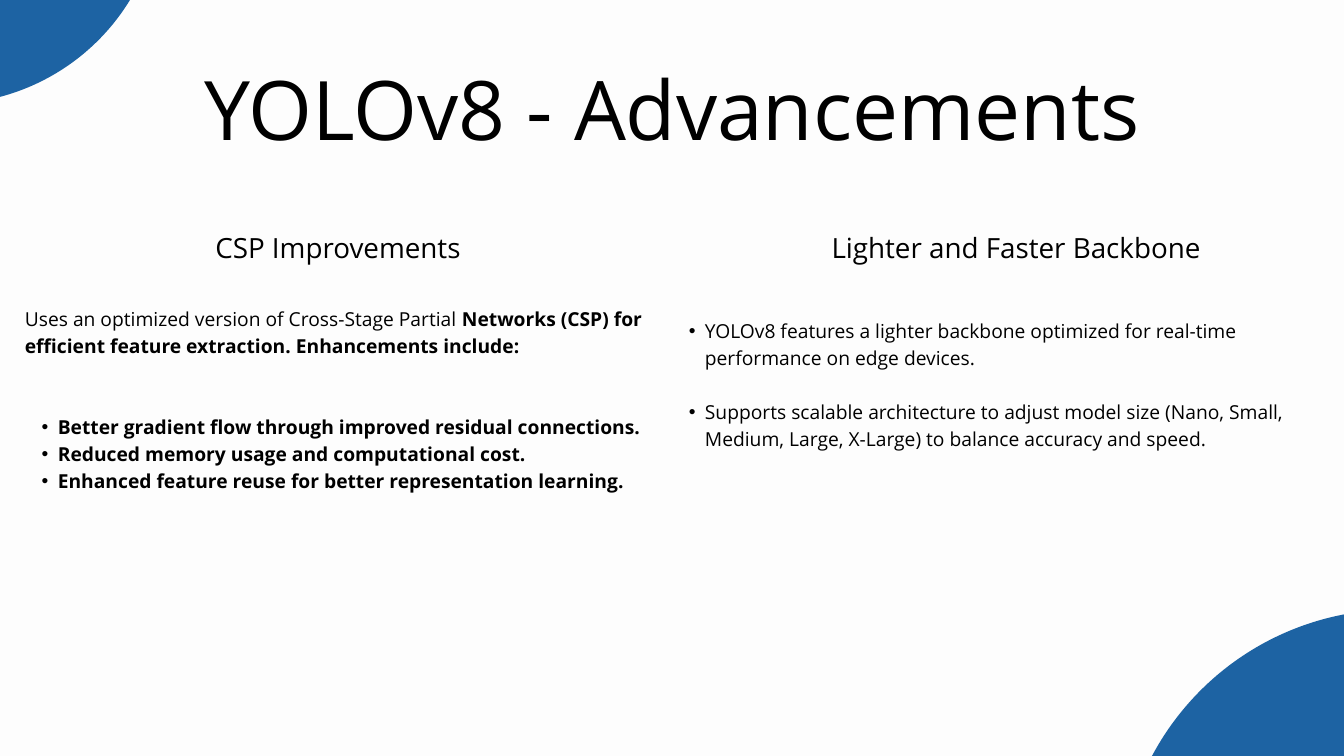
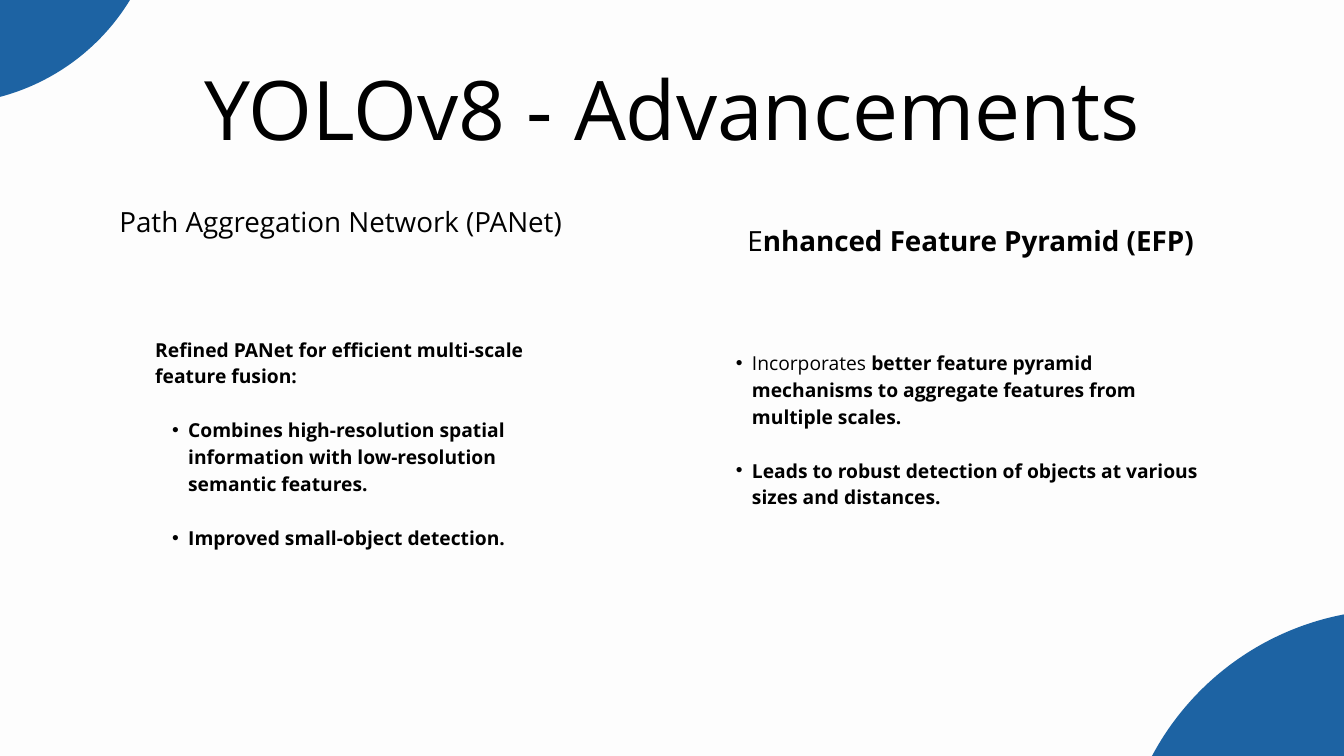
"""Build two slides on the advances in YOLOv8."""
from dataclasses import dataclass

from lxml import etree
from pptx import Presentation
from pptx import util as u
from pptx.dml.color import RGBColor
from pptx.enum import shapes, text
from pptx.oxml.ns import qn


@dataclass(frozen=True)
class Theme:
    """Colours, type sizes and spacing of the deck."""
    paper: str = "FDFDFD"
    ink: str = "000000"
    blue: str = "145DA0"
    alpha: int = 96
    font: str = "Open Sans"
    title: float = 88
    head: float = 29.8
    body: float = 20.6
    lead: float = 1.4
    left: float = 0.49
    hang: float = -0.24


@dataclass(frozen=True)
class Para:
    """A paragraph of plain and bold text, after some empty lines."""
    plain: str = ""
    bold: str = ""
    dot: bool = False
    gap: int = 0


class Deck:
    """Draw styled elements on a grid of 100 columns by 100 rows."""

    def __init__(self, theme):
        """Open a wide deck."""
        self.theme = theme
        self.prs = Presentation()
        self.prs.slide_width = u.Inches(20)
        self.prs.slide_height = u.Inches(11.25)
        self.slide = None

    def col(self, n):
        """Turn columns into a length."""
        return int(self.prs.slide_width * n / 100)

    def row(self, n):
        """Turn rows into a length."""
        return int(self.prs.slide_height * n / 100)

    def page(self, title):
        """Add a slide with corner discs and a title."""
        self.slide = self.prs.slides.add_slide(self.prs.slide_layouts[6])
        fill = self.slide.background.fill
        fill.solid()
        fill.fore_color.rgb = RGBColor.from_string(self.theme.paper)
        self.disc(83.3, 80.62, 41.15)
        self.disc(-20.35, -43.82, 32.4)
        self.box((11.55, 5.6, 76.9, 14.67), [Para(title)], self.theme.title, True)

    def disc(self, x, y, size):
        """Add a translucent blue disc."""
        side = self.col(size)
        disc = self.slide.shapes.add_shape(
            shapes.MSO_SHAPE.OVAL, self.col(x), self.row(y), side, side)
        disc.shadow.inherit = False
        disc.line.fill.background()
        disc.fill.solid()
        disc.fill.fore_color.rgb = RGBColor.from_string(self.theme.blue)
        tint = disc.fill._xPr.find(".//" + qn("a:srgbClr"))
        etree.SubElement(tint, qn("a:alpha"), val=str(self.theme.alpha * 1000))

    def head(self, area, plain, bold=""):
        """Add a centred column heading."""
        self.box(area, [Para(plain, bold)], self.theme.head, True)

    def body(self, area, *paras):
        """Add body text."""
        self.box(area, paras, self.theme.body)

    def box(self, area, paras, size, mid=False):
        """Add a text box without margins."""
        x, y, w, h = area
        frame = self.slide.shapes.add_textbox(
            self.col(x), self.row(y), self.col(w), self.row(h)).text_frame
        frame.margin_left = frame.margin_right = 0
        frame.margin_top = frame.margin_bottom = 0
        frame.word_wrap = True
        frame.auto_size = text.MSO_AUTO_SIZE.SHAPE_TO_FIT_TEXT
        for i, para in enumerate(paras):
            line = frame.add_paragraph() if i else frame.paragraphs[0]
            self.fill(line, para, size, mid)

    def fill(self, line, para, size, mid):
        """Style a paragraph and add its runs."""
        if para.dot:
            self.bullet(line)
        line.alignment = text.PP_ALIGN.CENTER if mid else text.PP_ALIGN.LEFT
        pitch = u.Pt(round(size * self.theme.lead, 1))
        line.line_spacing = pitch
        if para.gap:
            line.space_before = u.Pt(pitch.pt * para.gap)
        for words, bold in ((para.plain, False), (para.bold, True)):
            if words:
                self.run(line, words, size, bold)

    def bullet(self, line):
        """Give a paragraph a hanging bullet."""
        line.level = 1
        props = line._p.get_or_add_pPr()
        props.set("marL", str(u.Inches(self.theme.left)))
        props.set("indent", str(u.Inches(self.theme.hang)))
        etree.SubElement(props, qn("a:buFont"), typeface="Arial")
        etree.SubElement(props, qn("a:buChar"), char="•")

    def run(self, line, words, size, bold):
        """Add one run of text."""
        run = line.add_run()
        run.text = words
        run.font.name = self.theme.font
        run.font.size = u.Pt(size)
        run.font.bold = bold
        run.font.color.rgb = RGBColor.from_string(self.theme.ink)


def main():
    """Build both slides and save them."""
    deck = Deck(Theme())
    title = "YOLOv8 - Advancements"

    deck.page(title)
    deck.head((2.65, 29.78, 45, 4.89), "CSP Improvements")
    deck.body(
        (1.85, 40.18, 46.55, 27.91),
        Para("Uses an optimized version of Cross-Stage Partial ",
             "Networks (CSP) for efficient feature extraction. Enhancements include:"),
        Para(bold="Better gradient flow through improved residual connections.",
             dot=True, gap=2),
        Para(bold="Reduced memory usage and computational cost.", dot=True),
        Para(bold="Enhanced feature reuse for better representation learning.",
             dot=True))
    deck.head((60.35, 29.78, 30.5, 4.89), "Lighter and Faster Backbone")
    deck.body(
        (50, 41.78, 48.8, 20.89),
        Para("YOLOv8 features a lighter backbone optimized for real-time "
             "performance on edge devices.", dot=True),
        Para("Supports scalable architecture to adjust model size (Nano, Small, "
             "Medium, Large, X-Large) to balance accuracy and speed.",
             dot=True, gap=1))

    deck.page(title)
    deck.head((8.7, 26.4, 33.3, 10.04), "Path Aggregation Network (PANet)")
    deck.body(
        (11.55, 44.18, 28.55, 31.38),
        Para(bold="Refined PANet for efficient multi-scale feature fusion:"),
        Para(bold="Combines high-resolution spatial information with "
             "low-resolution semantic features.", dot=True, gap=1),
        Para(bold="Improved small-object detection.", dot=True, gap=1))
    deck.head((53.9, 28.89, 36.65, 4.89), "E", "nhanced Feature Pyramid (EFP)")
    deck.body(
        (53.5, 45.96, 37.05, 24.36),
        Para("Incorporates", " better feature pyramid mechanisms to aggregate "
             "features from multiple scales.", dot=True),
        Para(bold="Leads to robust detection of objects at various sizes "
             "and distances.", dot=True, gap=1))

    deck.prs.save("out.pptx")


if __name__ == "__main__":
    main()
